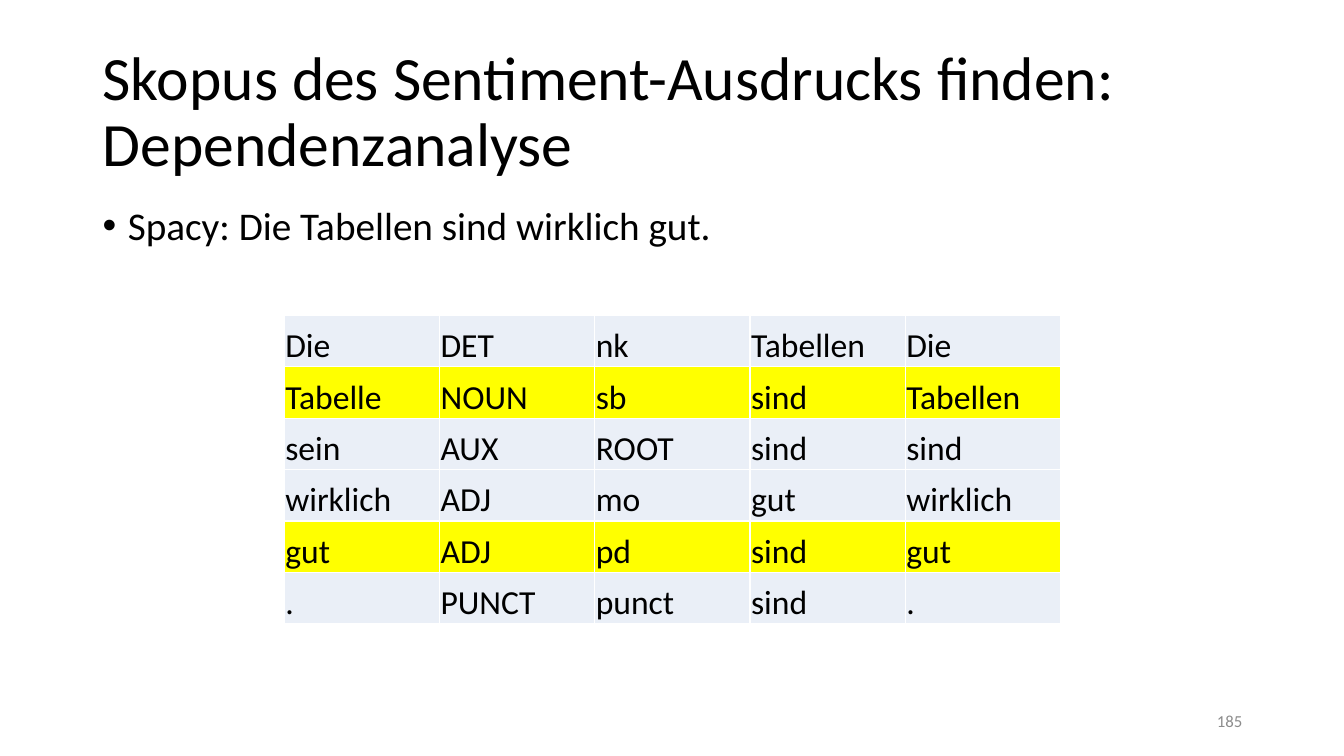
from lxml.etree import SubElement
from pptx import Presentation
from pptx.dml.color import RGBColor
from pptx.enum.text import MSO_ANCHOR, PP_ALIGN
from pptx.oxml.ns import qn
from pptx.util import Inches, Pt

# Content
TITLE = "Skopus des Sentiment-Ausdrucks finden: Dependenzanalyse"
EXAMPLE = "Spacy: Die Tabellen sind wirklich gut."
PAGE_NUMBER = "185"
TOKENS = [
    ("Die", "DET", "nk", "Tabellen", "Die"),
    ("Tabelle", "NOUN", "sb", "sind", "Tabellen"),
    ("sein", "AUX", "ROOT", "sind", "sind"),
    ("wirklich", "ADJ", "mo", "gut", "wirklich"),
    ("gut", "ADJ", "pd", "sind", "gut"),
    (".", "PUNCT", "punct", "sind", "."),
]
HIGHLIGHTED_RELATIONS = {"sb", "pd"}

THEME = {
    "font": "Calibri",
    "text": "000000", "muted": "8C8C8C",
    "cell": "EAEFF7", "highlight": "FFFF00", "border": "FFFFFF",
    "title_size": 44, "body_size": 28, "table_size": 24, "number_size": 12,
}
COLUMN_WIDTH, ROW_HEIGHT = 1.54, 0.51
CELL_FORMAT = {
    "vertical_anchor": MSO_ANCHOR.BOTTOM,
    "margin_left": Inches(0.01), "margin_right": Inches(0.01),
    "margin_top": Inches(0.01), "margin_bottom": 0,
}


def set_attributes(target, values):
    for name, value in values.items():
        setattr(target, name, value)


def write(paragraph, text, size, color="text"):
    paragraph.text = text
    set_attributes(paragraph.font, {"name": THEME["font"], "size": Pt(THEME[size])})
    paragraph.font.color.rgb = RGBColor.from_string(THEME[color])


def add_text(slide, box, text, size, color="text", anchor=MSO_ANCHOR.MIDDLE,
             bullet=False, **paragraph_format):
    frame = slide.shapes.add_textbox(*map(Inches, box)).text_frame
    set_attributes(frame, {"word_wrap": True, "vertical_anchor": anchor})
    paragraph = frame.paragraphs[0]
    set_attributes(paragraph, paragraph_format)
    if bullet:
        properties = paragraph._p.get_or_add_pPr()
        properties.set("marL", str(Inches(0.25)))
        properties.set("indent", str(-Inches(0.25)))
        SubElement(properties, qn("a:buFont")).set("typeface", "Arial")
        SubElement(properties, qn("a:buChar")).set("char", "•")
    write(paragraph, text, size, color)


def add_borders(cell):
    properties = cell._tc.get_or_add_tcPr()
    for position, side in enumerate(("a:lnL", "a:lnR", "a:lnT", "a:lnB")):
        line = SubElement(properties, qn(side), w=str(Pt(1)))
        fill = SubElement(line, qn("a:solidFill"))
        SubElement(fill, qn("a:srgbClr"), val=THEME["border"])
        properties.insert(position, line)


presentation = Presentation()
set_attributes(presentation, {"slide_width": Inches(13.33), "slide_height": Inches(7.5)})
slide = presentation.slides.add_slide(presentation.slide_layouts[6])

# Title, example sentence and page number
add_text(slide, (0.92, 0.4, 11.5, 1.45), TITLE, "title_size", line_spacing=0.9)
add_text(slide, (0.92, 2, 11.5, 4.76), EXAMPLE, "body_size",
         anchor=MSO_ANCHOR.TOP, bullet=True, line_spacing=0.9)
add_text(slide, (9.42, 6.95, 3, 0.4), PAGE_NUMBER, "number_size", "muted",
         alignment=PP_ALIGN.RIGHT)

# Dependency table
row_count, column_count = len(TOKENS), len(TOKENS[0])
table = slide.shapes.add_table(
    row_count, column_count, Inches(2.82), Inches(3.13),
    Inches(COLUMN_WIDTH * column_count), Inches(ROW_HEIGHT * row_count)).table
set_attributes(table, {"first_row": False, "horz_banding": False})
for row, token in enumerate(TOKENS):
    fill_name = "highlight" if token[2] in HIGHLIGHTED_RELATIONS else "cell"
    for column, text in enumerate(token):
        cell = table.cell(row, column)
        set_attributes(cell, CELL_FORMAT)
        cell.fill.solid()
        cell.fill.fore_color.rgb = RGBColor.from_string(THEME[fill_name])
        add_borders(cell)
        write(cell.text_frame.paragraphs[0], text, "table_size")

presentation.save("out.pptx")
